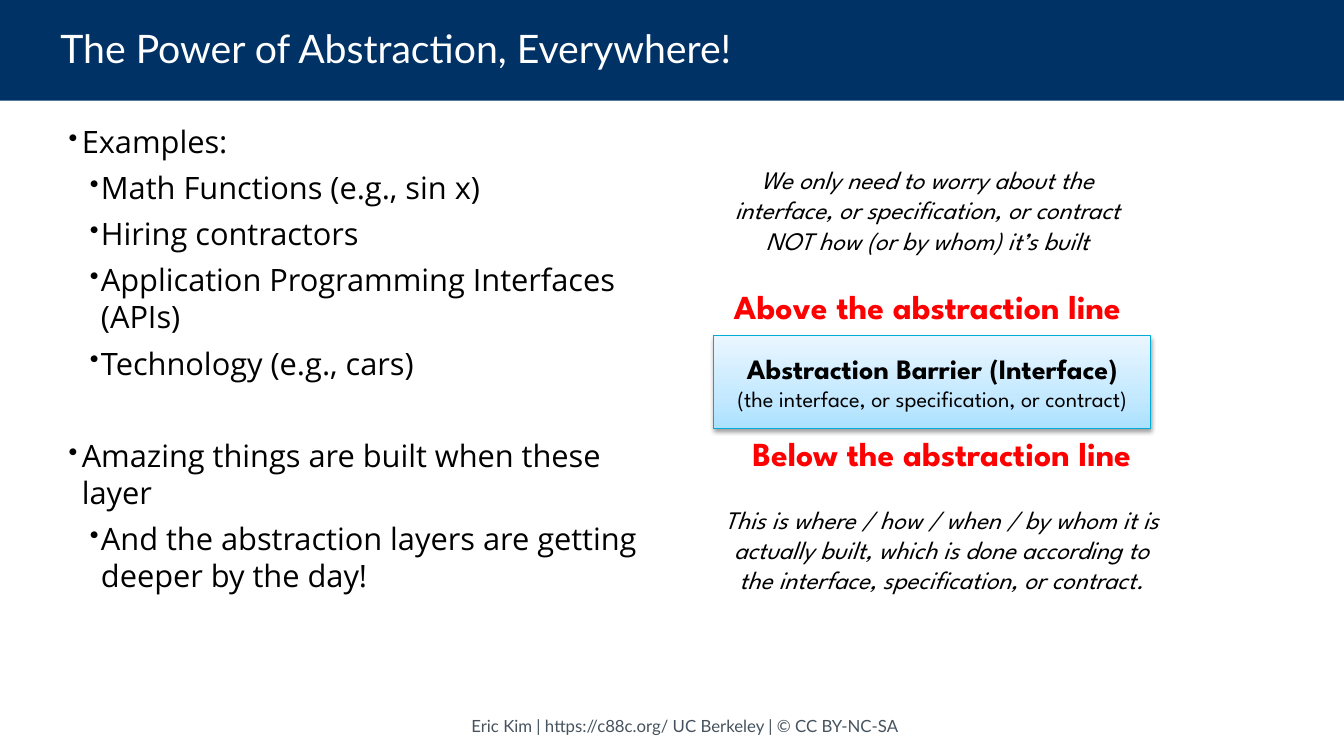
from lxml import etree
from pptx import Presentation
from pptx.dml.color import RGBColor
from pptx.enum.shapes import MSO_SHAPE
from pptx.enum.text import MSO_ANCHOR, MSO_AUTO_SIZE, PP_ALIGN
from pptx.oxml import parse_xml
from pptx.oxml.ns import nsdecls, qn
from pptx.util import Inches, Pt

RECTANGLE = MSO_SHAPE.RECTANGLE
MIDDLE = MSO_ANCHOR.MIDDLE
GROW = MSO_AUTO_SIZE.SHAPE_TO_FIT_TEXT
CENTER = PP_ALIGN.CENTER

COLUMNS, ROWS = 160, 90
NAVY, WHITE, BLACK, RED, SLATE, CYAN = (
    "003265", "FFFFFF", "000000", "FF0000", "46535E", "00ACD5")
BARRIER_STOPS = [(0, "ABE1FF"), (35, "C4E9FF"), (100, "E9F6FF")]
HEADING_FONT, BODY_FONT, DIAGRAM_FONT = "Lato", "Open Sans", "League Spartan"
BODY_SIZE = 22
BULLET_GAP = 0.3 * BODY_SIZE
SECTION_GAP = 6 * BULLET_GAP
LINE_GAP = 21.6
INDENTS = [(0.13, 0.13), (0.32, 0.11)]

EXAMPLES = [
    (0, "Examples:", 0),
    (1, "Math Functions (e.g., sin x)", BULLET_GAP),
    (1, "Hiring contractors", BULLET_GAP),
    (1, "Application Programming Interfaces (APIs)", BULLET_GAP),
    (1, "Technology (e.g., cars)", BULLET_GAP),
    (0, "Amazing things are built when these layer", SECTION_GAP),
    (1, "And the abstraction layers are getting deeper by the day!", BULLET_GAP),
]

prs = Presentation()
prs.slide_width, prs.slide_height = Inches(13.33), Inches(7.5)


def color(value):
    return RGBColor.from_string(value)


def place(box):
    left, top, width, height = box
    column, row = prs.slide_width / COLUMNS, prs.slide_height / ROWS
    return [round(n) for n in (left * column, top * row, width * column, height * row)]


def add_run(paragraph, text, font, size, ink, bold=False, italic=False):
    run = paragraph.add_run()
    run.text = text
    run.font.name = font
    run.font.size = Pt(size)
    run.font.bold = bold
    run.font.italic = italic
    run.font.color.rgb = color(ink)


def add_lines(frame, lines):
    for index, (text, size, ink, bold, italic, gap) in enumerate(lines):
        paragraph = frame.paragraphs[0] if index == 0 else frame.add_paragraph()
        paragraph.alignment = CENTER
        if gap:
            paragraph.space_before = Pt(gap)
        add_run(paragraph, text, DIAGRAM_FONT, size, ink, bold, italic)


def add_text_frame(slide, box):
    frame = slide.shapes.add_textbox(*place(box)).text_frame
    frame.word_wrap = True
    return frame


def add_title(slide, box, text):
    banner = slide.shapes.add_shape(RECTANGLE, *place(box))
    banner.shadow.inherit = False
    banner.fill.solid()
    banner.fill.fore_color.rgb = color(NAVY)
    banner.line.fill.background()
    frame = banner.text_frame
    frame.vertical_anchor = MIDDLE
    frame.margin_left, frame.margin_right = Inches(0.6), Inches(1)
    heading = frame.paragraphs[0]
    heading.alignment = PP_ALIGN.LEFT
    heading.line_spacing = 0.9
    add_run(heading, text, HEADING_FONT, 28, WHITE)


def add_bullet(paragraph, level):
    margin, hanging = INDENTS[level]
    properties = paragraph._p.get_or_add_pPr()
    properties.set("marL", str(Inches(margin)))
    properties.set("indent", str(-Inches(hanging)))
    etree.SubElement(properties, qn("a:buSzPct")).set("val", "85000")
    etree.SubElement(properties, qn("a:buChar")).set("char", "•")


def add_examples(slide, box, examples):
    frame = add_text_frame(slide, box)
    for index, (level, text, gap) in enumerate(examples):
        paragraph = frame.paragraphs[0] if index == 0 else frame.add_paragraph()
        add_bullet(paragraph, level)
        paragraph.level = level
        if gap:
            paragraph.space_before = Pt(gap)
        add_run(paragraph, text, BODY_FONT, BODY_SIZE, BLACK)


def add_barrier(slide, box):
    barrier = slide.shapes.add_shape(RECTANGLE, *place(box))
    barrier.line.color.rgb = color(CYAN)
    barrier.line.width = Pt(0.75)
    stops = "".join(
        f'<a:gs pos="{share * 1000}"><a:srgbClr val="{tint}"/></a:gs>'
        for share, tint in BARRIER_STOPS)
    properties = barrier._element.spPr
    properties.find(qn("a:prstGeom")).addnext(parse_xml(
        f'<a:gradFill {nsdecls("a")} rotWithShape="1"><a:gsLst>{stops}</a:gsLst>'
        '<a:lin ang="16200000" scaled="0"/></a:gradFill>'))
    properties.find(qn("a:ln")).addnext(parse_xml(
        f'<a:effectLst {nsdecls("a")}><a:outerShdw blurRad="{Pt(3.1)}" dist="{Pt(1.6)}" '
        'dir="5400000" rotWithShape="0"><a:srgbClr val="000000"><a:alpha val="38000"/>'
        '</a:srgbClr></a:outerShdw></a:effectLst>'))
    barrier.text_frame.vertical_anchor = MIDDLE
    add_lines(barrier.text_frame, [
        ("Abstraction Barrier (Interface)", 20, BLACK, True, False, 0),
        ("(the interface, or specification, or contract)", 16, BLACK, False, False, 0),
    ])


def add_side(slide, box, lines):
    frame = add_text_frame(slide, box)
    frame.auto_size = GROW
    add_lines(frame, lines)


def add_abstraction_diagram(slide, box):
    left, top, width, height = box
    add_barrier(slide, (left + 1, top + 21, width, 11))
    add_side(slide, (left, top + 32, width + 4.2, height - 32), [
        ("Below the abstraction line", 24, RED, True, False, 0),
        ("This is where / how / when / by whom it is actually built, which is done "
         "according to the interface, specification, or contract.",
         18, BLACK, False, True, LINE_GAP),
    ])
    add_side(slide, (left, top, width + 0.8, 24.2), [
        ("We only need to worry about the interface, or specification, or contract",
         18, BLACK, False, True, 0),
        ("NOT how (or by whom) it’s built", 18, BLACK, False, True, 0),
        ("Above the abstraction line", 24, RED, True, False, LINE_GAP),
    ])


def add_footer(slide, box, text):
    frame = add_text_frame(slide, box)
    frame.vertical_anchor = MIDDLE
    credit = frame.paragraphs[0]
    credit.alignment = CENTER
    add_run(credit, text, HEADING_FONT, 12, SLATE)


def main():
    slide = prs.slides.add_slide(prs.slide_layouts[6])
    add_title(slide, (0, 0, COLUMNS, 12), "The Power of Abstraction, Everywhere!")
    add_examples(slide, (7, 14, 70, 69), EXAMPLES)
    add_abstraction_diagram(slide, (84, 19, 52, 52.6))
    add_footer(slide, (53, 84.7, 57.1, 3.4),
               "Eric Kim | https://c88c.org/ UC Berkeley | © CC BY-NC-SA")
    prs.save("out.pptx")


if __name__ == "__main__":
    main()
